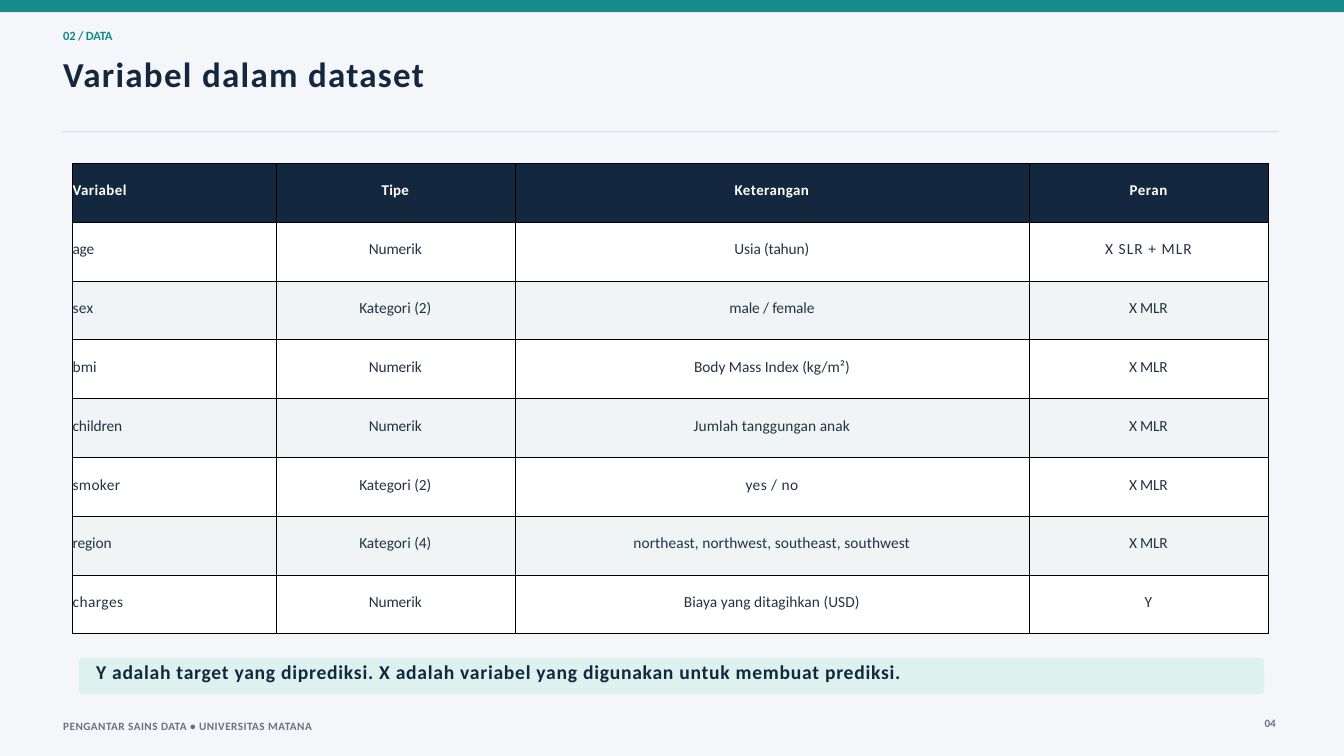
import pptx
import pptx.dml.color
import pptx.enum.shapes
import pptx.enum.text
import pptx.oxml
import pptx.oxml.ns
import pptx.util

RGB = pptx.dml.color.RGBColor
SHAPE = pptx.enum.shapes.MSO_SHAPE
ALIGN = pptx.enum.text.PP_ALIGN

PAPER = RGB(0xF4, 0xF6, 0xF9)
TEAL = RGB(0x16, 0x8B, 0x8B)
NAVY = RGB(0x13, 0x28, 0x3F)
INK = RGB(0x23, 0x33, 0x44)
GREY = RGB(0x64, 0x73, 0x86)
RULE = RGB(0xDB, 0xE3, 0xE9)
MINT = RGB(0xDD, 0xF1, 0xEF)
STRIPE = RGB(0xF0, 0xF4, 0xF5)
WHITE = RGB(0xFF, 0xFF, 0xFF)

FONT = "Calibri"
PAGE = (0, 0, 20, 11.25)  # left, top, width, height in inches

COLUMN_SHARES = (17, 20, 43, 20)
NUMERIC = ("Numerik", -0.1)
TWO_LEVELS = ("Kategori (2)", 0)
MLR = ("X MLR", -0.2)
# Each cell holds its text and its letter spacing in points
VARIABLES = [
    [("Variabel", 0.5), ("Tipe", 0.3), ("Keterangan", 0.5), ("Peran", 0.6)],
    [("age", -0.2), NUMERIC, ("Usia (tahun)", -0.1), ("X SLR + MLR", 1.2)],
    [("sex", 0.4), TWO_LEVELS, ("male / female", -0.1), MLR],
    [("bmi", 0.2), NUMERIC, ("Body Mass Index (kg/m²)", 0), MLR],
    [("children", -0.1), NUMERIC, ("Jumlah tanggungan anak", 0.1), MLR],
    [("smoker", 0.4), TWO_LEVELS, ("yes / no", 0.5), MLR],
    [("region", -0.1), ("Kategori (4)", 0),
     ("northeast, northwest, southeast, southwest", 0.1), MLR],
    [("charges", 0.5), NUMERIC, ("Biaya yang ditagihkan (USD)", 0.1), ("Y", 0.3)],
]


def part(box, left, top, width, height):
    """Return the box inside another one, given in percent of it."""
    x, y, w, h = box
    return (x + w * left / 100, y + h * top / 100, w * width / 100, h * height / 100)


def inches(box):
    return [pptx.util.Inches(length) for length in box]


def write(frame, text, size, color, bold=True, spacing=0, leading=1.2, align=ALIGN.LEFT):
    """Write one line of formatted text into a text frame."""
    para = frame.paragraphs[0]
    para.alignment = align
    para.line_spacing = pptx.util.Pt(size * leading)
    span = para.add_run()
    span.text = text
    span.font.name = FONT
    span.font.size = pptx.util.Pt(size)
    span.font.bold = bold
    span.font.color.rgb = color
    span.font._element.set("spc", str(round(spacing * 100)))


def clear_frame(frame):
    frame.margin_left = frame.margin_top = frame.margin_right = frame.margin_bottom = 0
    frame.vertical_anchor = pptx.enum.text.MSO_ANCHOR.TOP
    frame.auto_size = pptx.enum.text.MSO_AUTO_SIZE.NONE
    frame.word_wrap = True


def add_label(page, box, text, **text_format):
    label = page.shapes.add_textbox(*inches(box))
    clear_frame(label.text_frame)
    write(label.text_frame, text, **text_format)


def add_panel(page, box, color, kind=SHAPE.RECTANGLE):
    panel = page.shapes.add_shape(kind, *inches(box))
    panel.shadow.inherit = False
    panel.fill.solid()
    panel.fill.fore_color.rgb = color
    panel.line.fill.background()
    return panel


def add_borders(cell):
    properties = cell._tc.get_or_add_tcPr()
    for side in ("lnL", "lnR", "lnT", "lnB"):
        properties.append(pptx.oxml.parse_xml(
            f'<a:{side} {pptx.oxml.ns.nsdecls("a")} w="6350"><a:solidFill>'
            f'<a:srgbClr val="000000"/></a:solidFill></a:{side}>'))


def add_header(page, box):
    add_panel(page, part(box, 0, 0, 100, 8), TEAL)
    add_label(page, part(box, 4.7, 18.22, 4.55, 12), "02 / DATA",
              size=13.5, color=TEAL, spacing=-0.2)
    title = page.shapes.title
    title.left, title.top, title.width, title.height = inches(
        part(box, 4.7, 34.67, 56.1, 32))
    clear_frame(title.text_frame)
    write(title.text_frame, "Variabel dalam dataset", size=37.5, color=NAVY, spacing=1.4)
    add_panel(page, part(box, 4.65, 86.67, 90.45, 0.89), RULE)


def add_variable_table(page, box):
    table = page.shapes.add_table(
        len(VARIABLES), len(COLUMN_SHARES), *inches(box)).table
    for column, share in zip(table.columns, COLUMN_SHARES):
        column.width = pptx.util.Inches(box[2] * share / 100)
    for row, entries in enumerate(VARIABLES):
        heading = row == 0
        size = 16 if heading else 16.5
        fill = NAVY if heading else (WHITE if row % 2 else STRIPE)
        for column, (text, spacing) in enumerate(entries):
            cell = table.cell(row, column)
            cell.margin_left = cell.margin_right = cell.margin_bottom = 0
            cell.margin_top = pptx.util.Pt(size * 1.2)  # one line above the text
            add_borders(cell)
            cell.fill.solid()
            cell.fill.fore_color.rgb = fill
            write(cell.text_frame, text, size=size, color=WHITE if heading else INK,
                  bold=heading, spacing=spacing,
                  align=ALIGN.CENTER if column else ALIGN.LEFT)


def add_callout(page, box):
    panel = add_panel(page, box, MINT, SHAPE.ROUNDED_RECTANGLE)
    panel.adjustments[0] = 0.13
    add_label(page, part(box, 1.47, 5.56, 68.14, 77.78),
              "Y adalah target yang diprediksi. X adalah variabel yang digunakan "
              "untuk membuat prediksi.", size=21, color=NAVY, spacing=0.8)


def add_footer(page, box):
    add_label(page, part(box, 0, 15.4, 21.34, 84.6),
              "PENGANTAR SAINS DATA • UNIVERSITAS MATANA",
              size=12, color=GREY, spacing=0.5)
    add_label(page, part(box, 98.84, 0, 1.16, 84.6), "04",
              size=12, color=GREY, spacing=-0.2)


def main():
    deck = pptx.Presentation()
    deck.slide_width, deck.slide_height = inches(PAGE[2:])
    page = deck.slides.add_slide(deck.slide_layouts.get_by_name("Title Only"))
    page.background.fill.solid()
    page.background.fill.fore_color.rgb = PAPER

    add_header(page, part(PAGE, 0, 0, 100, 20))
    add_variable_table(page, part(PAGE, 5.4, 21.6, 88.95, 62.22))
    add_callout(page, part(PAGE, 5.85, 87.02, 88.2, 4.8))
    add_footer(page, part(PAGE, 4.7, 94.8, 90.45, 2.6))
    deck.save("out.pptx")


if __name__ == "__main__":
    main()
